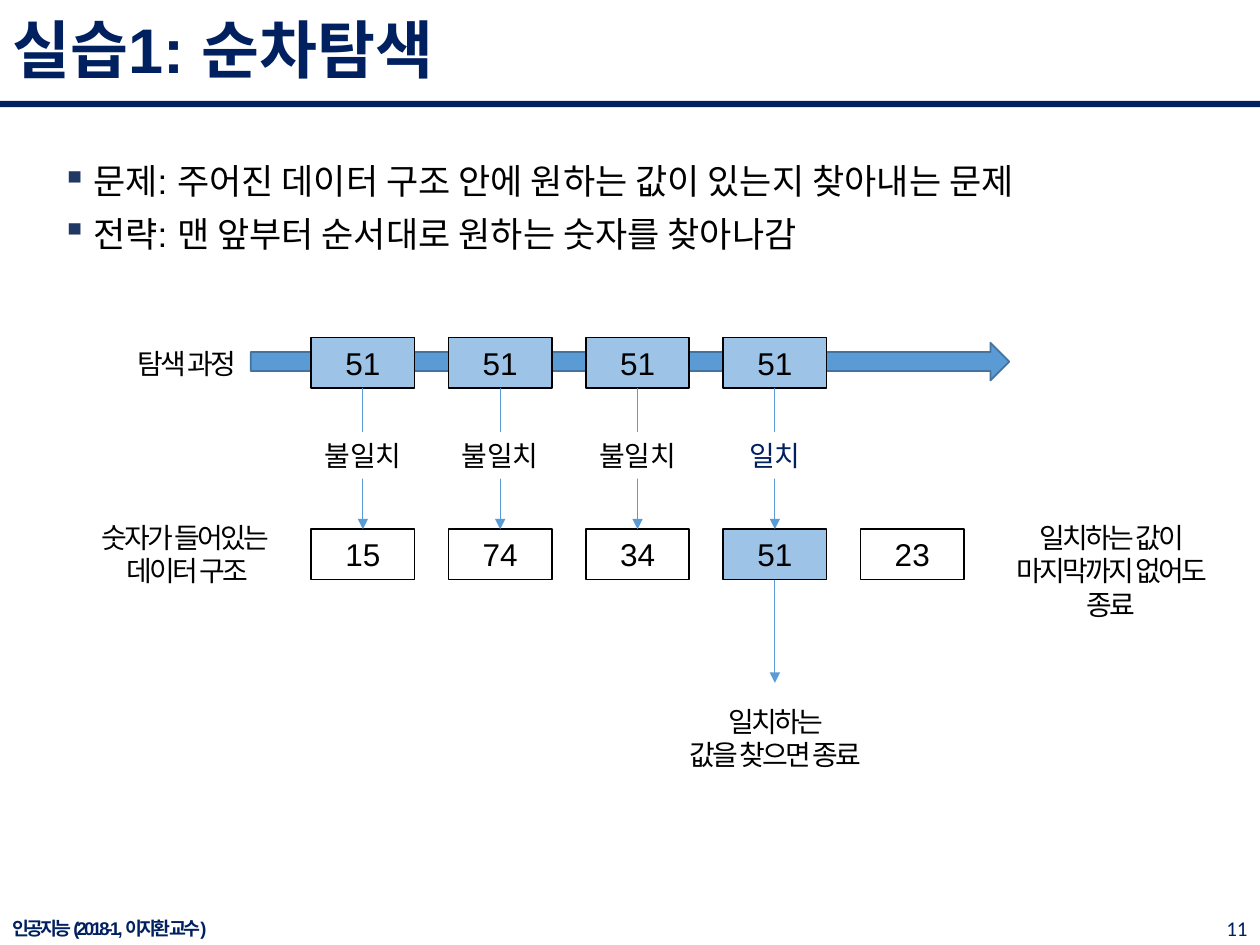
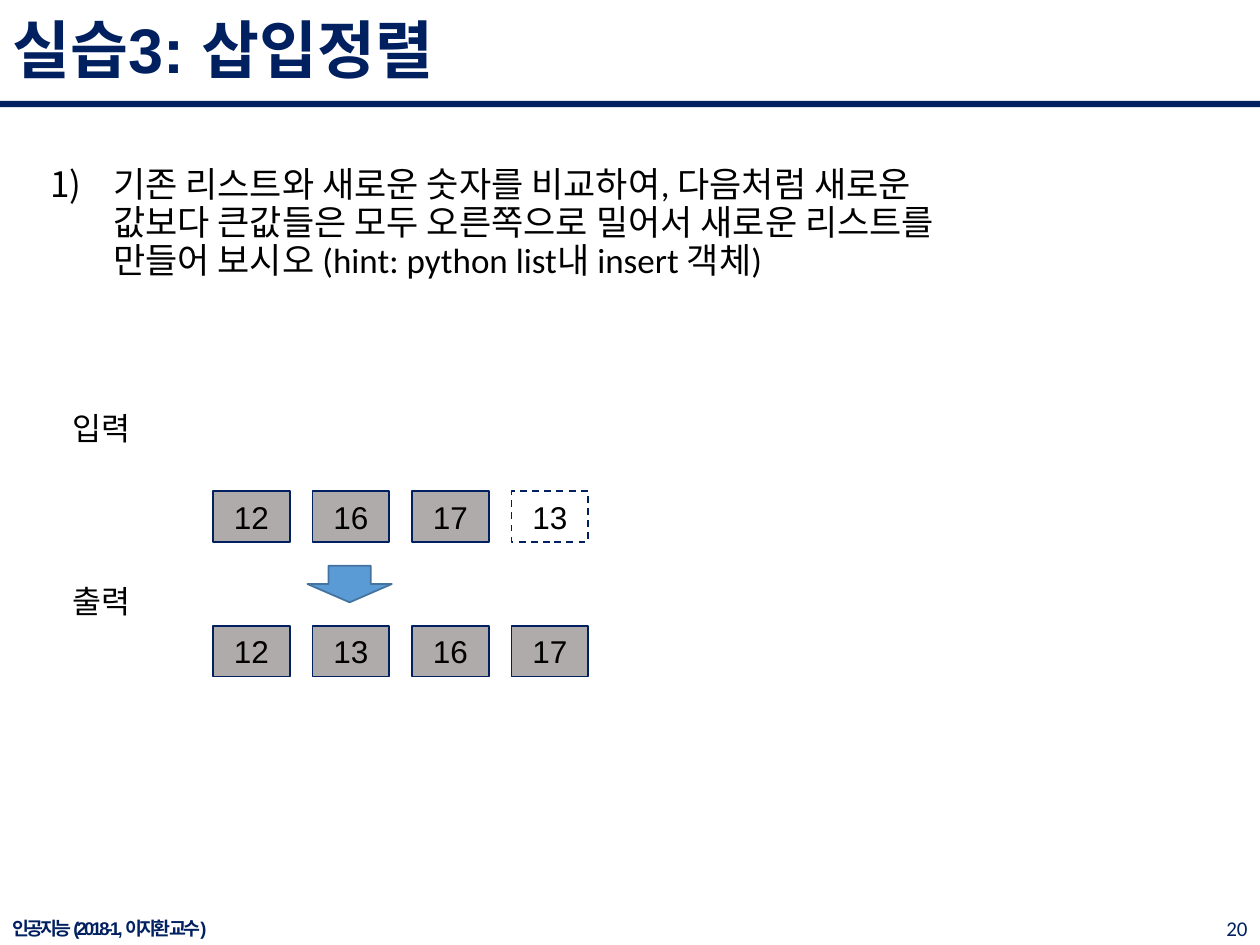
from dataclasses import dataclass
from typing import Optional

from lxml import etree
from pptx import Presentation
from pptx.dml.color import RGBColor
from pptx.enum.dml import MSO_LINE
from pptx.enum.shapes import MSO_CONNECTOR, MSO_SHAPE
from pptx.enum.text import MSO_ANCHOR, MSO_AUTO_SIZE, PP_ALIGN
from pptx.oxml.ns import qn
from pptx.util import Inches, Pt

NAVY = RGBColor(0x00, 0x20, 0x60)
BULLET_NAVY = RGBColor(0x20, 0x38, 0x64)
BLACK = RGBColor(0x00, 0x00, 0x00)
WHITE = RGBColor(0xFF, 0xFF, 0xFF)
BLUE = RGBColor(0x5B, 0x9B, 0xD5)
BLUE_EDGE = RGBColor(0x43, 0x73, 0x9E)
PALE_BLUE = RGBColor(0x9D, 0xC3, 0xE6)
GRAY = RGBColor(0xAF, 0xAB, 0xAB)

LEFT, CENTER, RIGHT, JUSTIFY = PP_ALIGN.LEFT, PP_ALIGN.CENTER, PP_ALIGN.RIGHT, PP_ALIGN.JUSTIFY
TOP, MIDDLE = MSO_ANCHOR.TOP, MSO_ANCHOR.MIDDLE
GROW, FIXED = MSO_AUTO_SIZE.SHAPE_TO_FIT_TEXT, MSO_AUTO_SIZE.NONE
RECT, RIGHT_ARROW, DOWN_ARROW = MSO_SHAPE.RECTANGLE, MSO_SHAPE.RIGHT_ARROW, MSO_SHAPE.DOWN_ARROW
STRAIGHT = MSO_CONNECTOR.STRAIGHT
DASH = MSO_LINE.DASH
SITE_TOP, SITE_BOTTOM = 0, 2

BOX_H = 0.4
SEARCH_LEFT, SEARCH_STEP, SEARCH_W = 2.47, 1.09, 0.82
SORT_LEFT, SORT_STEP, SORT_W = 1.69, 0.79, 0.61
LABEL_W = 1.05


@dataclass(frozen=True)
class Area:
    x: float
    y: float
    w: float
    h: float

    def lengths(self):
        return Inches(self.x), Inches(self.y), Inches(self.w), Inches(self.h)


@dataclass(frozen=True)
class TextStyle:
    font: str = "Calibri"
    size: float = 16
    color: RGBColor = BLACK
    bold: bool = False
    align: PP_ALIGN = CENTER
    spacing: float = 0


@dataclass(frozen=True)
class BoxStyle:
    fill: Optional[RGBColor]
    line: Optional[RGBColor]
    dash: Optional[MSO_LINE] = None


TITLE = TextStyle("Arial", 36, NAVY, True, LEFT)
FOOTER = TextStyle("Arial", 10.5, NAVY, True, JUSTIFY, -1.5)
PAGE = TextStyle("Calibri", 12, NAVY, align=RIGHT)
BULLETS = TextStyle("Arial", 20, align=LEFT)
TASK = TextStyle("Calibri", 20, align=LEFT)
NUMBER = TextStyle("Arial", 18)
CAPTION = TextStyle(spacing=-1.5)
MISMATCH = TextStyle()
MATCH = TextStyle(color=NAVY)
ROW_NAME = TextStyle(size=18, align=LEFT)

DATA_BOX = BoxStyle(None, BLACK)
TARGET_BOX = BoxStyle(PALE_BLUE, BLACK)
SORTED_BOX = BoxStyle(GRAY, NAVY)
NEW_BOX = BoxStyle(None, NAVY, DASH)
BAND = BoxStyle(NAVY, None)
BLOCK_ARROW = BoxStyle(BLUE, BLUE_EDGE)


def write(tf, text: str, style: TextStyle) -> None:
    tf.text = text
    for p in tf.paragraphs:
        p.alignment = style.align
        for r in p.runs:
            r.font.name = style.font
            r.font.size = Pt(style.size)
            r.font.bold = style.bold
            r.font.color.rgb = style.color
            if style.spacing:
                r.font._element.set("spc", str(int(style.spacing * 100)))


def add_text(slide, area: Area, text: str, style: TextStyle, anchor=TOP, auto_size=FIXED):
    sp = slide.shapes.add_textbox(*area.lengths())
    tf = sp.text_frame
    tf.word_wrap = True
    tf.auto_size = auto_size
    tf.vertical_anchor = anchor
    write(tf, text, style)
    return sp


def add_box(slide, area: Area, style: BoxStyle, text: str = "", shape=RECT):
    sp = slide.shapes.add_shape(shape, *area.lengths())
    sp.shadow.inherit = False
    if style.fill is None:
        sp.fill.background()
    else:
        sp.fill.solid()
        sp.fill.fore_color.rgb = style.fill
    if style.line is None:
        sp.line.fill.background()
    else:
        sp.line.color.rgb = style.line
        sp.line.width = Pt(1)
    if style.dash is not None:
        sp.line.dash_style = style.dash
    if text:
        sp.text_frame.vertical_anchor = MIDDLE
        write(sp.text_frame, text, NUMBER)
    return sp


def add_row(slide, left: float, step: float, width: float, top: float, cells: list) -> list:
    return [
        add_box(slide, Area(left + i * step, top, width, BOX_H), style, text)
        for i, (text, style) in enumerate(cells)
    ]


def add_arrow(slide, start, end=None, end_y: float = 0):
    x = start.left + start.width // 2
    cxn = slide.shapes.add_connector(STRAIGHT, x, start.top + start.height, x, Inches(end_y))
    cxn.begin_connect(start, SITE_BOTTOM)
    if end is not None:
        cxn.end_connect(end, SITE_TOP)
    cxn.line.color.rgb = BLUE
    cxn.line.width = Pt(0.5)
    etree.SubElement(cxn.line._get_or_add_ln(), qn("a:tailEnd"), type="triangle")
    etree.SubElement(cxn._element.spPr, qn("a:effectLst"))


def set_indent(p, indent: float):
    pPr = p._p.get_or_add_pPr()
    pPr.set("marL", str(Inches(indent)))
    pPr.set("indent", str(-Inches(indent)))
    return pPr


def add_slide(prs, title: str, page: str):
    slide = prs.slides.add_slide(prs.slide_layouts[6])
    add_box(slide, Area(0, 0.8, 10, 0.05), BAND)
    add_text(slide, Area(7.75, 7.24, 2.25, 0.26), page, PAGE, MIDDLE)
    add_text(slide, Area(0, 7.24, 3.38, 0.26), "인공지능 (2018-1, 이지환 교수)", FOOTER, MIDDLE)
    sp = add_text(slide, Area(0, 0, 10, 0.85), title, TITLE, MIDDLE)
    sp.text_frame.paragraphs[0].line_spacing = 0.9
    return slide


def build_search(prs) -> None:
    slide = add_slide(prs, "실습1: 순차탐색", "11")
    sp = add_text(
        slide,
        Area(0.39, 1.22, 9.26, 5.54),
        "문제: 주어진 데이터 구조 안에 원하는 값이 있는지 찾아내는 문제\n"
        "전략: 맨 앞부터 순서대로 원하는 숫자를 찾아나감",
        BULLETS,
    )
    for p in sp.text_frame.paragraphs:
        p.space_after = Pt(6)
        pPr = set_indent(p, 0.25)
        color = etree.SubElement(pPr, qn("a:buClr"))
        etree.SubElement(color, qn("a:srgbClr"), val=str(BULLET_NAVY))
        etree.SubElement(pPr, qn("a:buChar"), char="▪")

    captions = [
        (0.52, 4.08, 0.64, "숫자가 들어있는 \v데이터 구조"),
        (0.52, 2.7, 0.37, "탐색 과정"),
        (5.19, 5.54, 0.64, "일치하는\n값을 찾으면 종료"),
        (7.85, 4.08, 0.64, "일치하는 값이 마지막까지 없어도 종료"),
    ]
    for x, y, h, text in captions:
        add_text(slide, Area(x, y, 1.93, h), text, CAPTION, auto_size=GROW)

    add_box(slide, Area(1.99, 2.72, 6.02, 0.3), BLOCK_ARROW, shape=RIGHT_ARROW)
    grid = (SEARCH_LEFT, SEARCH_STEP, SEARCH_W)
    data = [(n, TARGET_BOX if n == "51" else DATA_BOX) for n in ("15", "74", "34", "51", "23")]
    data_boxes = add_row(slide, *grid, 4.2, data)
    target_boxes = add_row(slide, *grid, 2.68, [("51", TARGET_BOX)] * 4)

    for i, (target, value) in enumerate(zip(target_boxes, data_boxes)):
        add_arrow(slide, target, value)
        found = value.text_frame.text == "51"
        x = SEARCH_LEFT + i * SEARCH_STEP + (SEARCH_W - LABEL_W) / 2
        sp = add_text(
            slide,
            Area(x, 3.43, LABEL_W, 0.37),
            "일치" if found else "불일치",
            MATCH if found else MISMATCH,
            auto_size=GROW,
        )
        sp.fill.solid()
        sp.fill.fore_color.rgb = WHITE
        if found:
            add_arrow(slide, value, end_y=5.42)


def build_sort(prs) -> None:
    slide = add_slide(prs, "실습3: 삽입정렬", "20")
    sp = add_text(
        slide,
        Area(0.3, 1.28, 7.73, 1.07),
        "기존 리스트와 새로운 숫자를 비교하여, 다음처럼 새로운 값보다 큰값들은 모두 "
        "오른쪽으로 밀어서 새로운 리스트를 만들어 보시오 (hint: python list내 insert 객체)",
        TASK,
    )
    p = sp.text_frame.paragraphs[0]
    p.line_spacing = 0.9
    p.space_before = Pt(10)
    etree.SubElement(set_indent(p, 0.5), qn("a:buAutoNum"), type="arabicParenR")

    for y, text in ((3.2, "입력"), (4.57, "출력")):
        add_text(slide, Area(0.48, y, 1.51, 0.4), text, ROW_NAME, auto_size=GROW)

    grid = (SORT_LEFT, SORT_STEP, SORT_W)
    given = [(n, SORTED_BOX) for n in ("12", "16", "17")]
    add_row(slide, *grid, 3.9, given + [("13", NEW_BOX)])
    add_row(slide, *grid, 4.97, [(n, SORTED_BOX) for n in ("12", "13", "16", "17")])
    add_box(slide, Area(2.44, 4.49, 0.67, 0.29), BLOCK_ARROW, shape=DOWN_ARROW)


def main() -> None:
    prs = Presentation()
    prs.slide_width = Inches(10)
    prs.slide_height = Inches(7.5)
    build_search(prs)
    build_sort(prs)
    prs.save("out.pptx")


if __name__ == "__main__":
    main()
